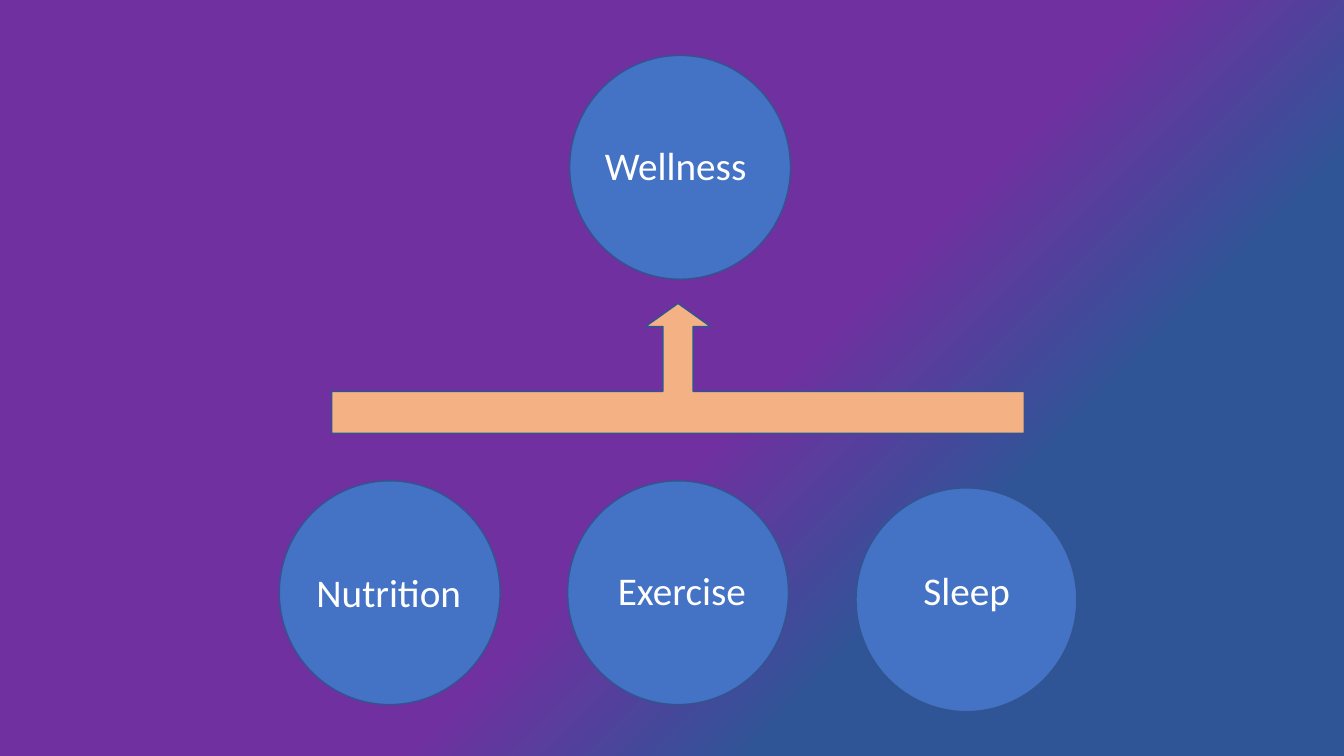
"""Build a slide showing nutrition, exercise and sleep leading to wellness."""
from dataclasses import dataclass

from pptx import Presentation
from pptx import util as u
from pptx.dml import color
from pptx.enum import shapes, text
from pptx.shapes.autoshape import Shape
from pptx.slide import Slide

PURPLE, NAVY = "7030A0", "2F5597"
BLUE, OUTLINE, PEACH, WHITE = "4472C4", "325491", "F4B183", "FFFFFF"
CIRCLE_W, CIRCLE_H = 2.19, 2.22
LABEL_H = 0.57


@dataclass
class Topic:
    label: str
    left: float
    top: float
    label_left: float
    label_top: float
    label_width: float


TOPICS = [
    Topic("Wellness", 5.65, 0.55, 5.9, 1.35, 1.99),
    Topic("Nutrition", 2.77, 4.77, 3.04, 5.59, 2.12),
    Topic("Exercise", 5.63, 4.77, 6.03, 5.57, 1.99),
    Topic("Sleep", 8.49, 4.84, 9.06, 5.57, 2.47),
]


def rgb(value: str) -> color.RGBColor:
    return color.RGBColor.from_string(value)


def paint_background(s: Slide) -> None:
    fill = s.background.fill
    fill.gradient()
    fill.gradient_angle = 315
    for stop, position, value in zip(fill.gradient_stops, (0.55, 0.72), (PURPLE, NAVY)):
        stop.position = position
        stop.color.rgb = rgb(value)


def add_shape(s: Slide, kind: shapes.MSO_SHAPE, left: float, top: float,
              width: float, height: float, fill: str) -> Shape:
    sp = s.shapes.add_shape(kind, u.Inches(left), u.Inches(top),
                            u.Inches(width), u.Inches(height))
    sp.shadow.inherit = False
    sp.fill.solid()
    sp.fill.fore_color.rgb = rgb(fill)
    sp.line.color.rgb = rgb(OUTLINE)
    sp.line.width = u.Pt(1)
    return sp


def add_topic(s: Slide, topic: Topic) -> None:
    add_shape(s, shapes.MSO_SHAPE.OVAL, topic.left, topic.top, CIRCLE_W, CIRCLE_H, BLUE)
    tb = s.shapes.add_textbox(u.Inches(topic.label_left), u.Inches(topic.label_top),
                              u.Inches(topic.label_width), u.Inches(LABEL_H))
    tf = tb.text_frame
    tf.word_wrap = True
    tf.auto_size = text.MSO_AUTO_SIZE.SHAPE_TO_FIT_TEXT
    tf.text = topic.label
    r = tf.paragraphs[0].runs[0]
    r.font.name = "Calibri"
    r.font.size = u.Pt(28)
    r.font.color.rgb = rgb(WHITE)


def add_arrow(s: Slide) -> None:
    sp = add_shape(s, shapes.MSO_SHAPE.RIGHT_ARROW_CALLOUT, 6.08, 0.22, 1.29, 6.87, PEACH)
    sp.rotation = 270
    for i, value in enumerate((0.232, 0.25, 0.178, 0.324)):
        sp.adjustments[i] = value


def main() -> None:
    prs = Presentation()
    prs.slide_width, prs.slide_height = u.Inches(13.33), u.Inches(7.5)
    s = prs.slides.add_slide(prs.slide_layouts[6])
    paint_background(s)
    for topic in TOPICS:
        add_topic(s, topic)
    add_arrow(s)
    prs.save("out.pptx")


if __name__ == "__main__":
    main()
